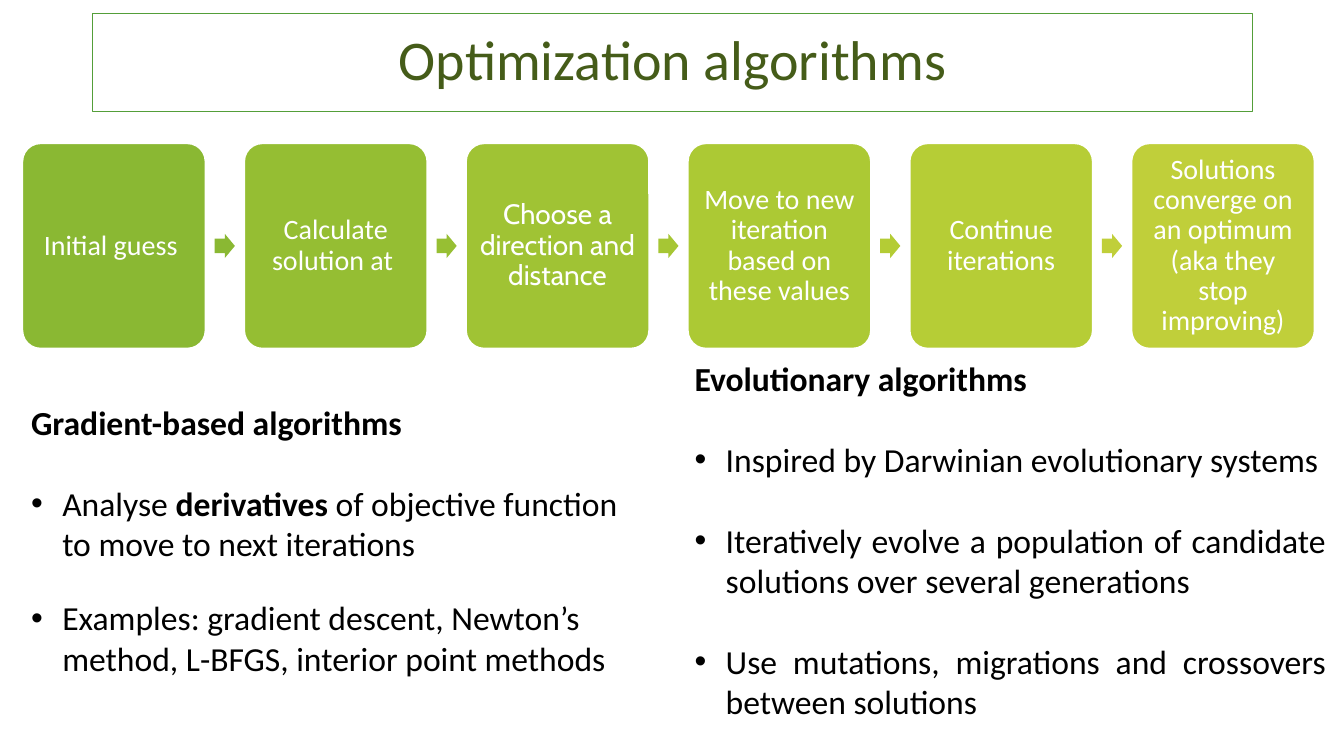
from lxml.etree import SubElement
from pptx import Presentation
from pptx.dml.color import RGBColor
from pptx.enum.shapes import MSO_SHAPE
from pptx.enum.text import MSO_ANCHOR, MSO_AUTO_SIZE, PP_ALIGN
from pptx.oxml.ns import qn
from pptx.util import Inches, Pt

COLORS = {
    "title": "455C19", "border": "549E39", "body": "000000", "white": "FFFFFF",
    "steps": ["8AB833", "95BE33", "A0C334", "ACC934", "B6CD36", "C0CF3A"],
    "arrows": ["8AB833", "97BF33", "A6C634", "B4CC35", "C0CF3A"],
}
STEPS = [
    ("Initial guess ", "Calibri"),
    ("Calculate solution at ", "Calibri"),
    ("Choose a direction and distance", "Cabin"),
    ("Move to new iteration based on these values", "Calibri"),
    ("Continue iterations", "Calibri"),
    ("Solutions converge on an optimum (aka they stop improving)", "Calibri"),
]
GRADIENT_POINTS = [
    ([("Analyse ", False), ("derivatives", True),
      (" of objective function to move to next iterations", False)], 29, PP_ALIGN.LEFT),
    ([("Examples: gradient descent, Newton’s method, L-BFGS, interior point methods", False)],
     24, PP_ALIGN.LEFT),
]
EVOLUTIONARY_POINTS = [
    ([("Inspired by Darwinian evolutionary systems", False)], 29, PP_ALIGN.LEFT),
    ([("Iteratively evolve a population of candidate solutions over several generations", False)],
     29, PP_ALIGN.JUSTIFY),
    ([("Use mutations, migrations and crossovers between solutions", False)],
     29, PP_ALIGN.JUSTIFY),
]
FLOW_LEFT, FLOW_TOP, COLUMN_WIDTH = 0.22, 1.42, 2.2
STEP_WIDTH, STEP_HEIGHT = 1.82, 2.04
ARROW_OFFSET, ARROW_WIDTH, ARROW_HEIGHT = 1.91, 0.2, 0.24


def color(value):
    """Return a colour from its hex string."""
    return RGBColor.from_string(value)


def style_font(font, size, name, value):
    """Set the size, typeface and colour of a font."""
    font.size = Pt(size)
    font.name = name
    font.color.rgb = color(value)


def add_title(slide, text):
    """Place and format the title placeholder."""
    title = slide.shapes.title
    title.left, title.top = Inches(0.92), Inches(0.13)
    title.width, title.height = Inches(11.5), Inches(0.98)
    title.line.color.rgb = color(COLORS["border"])
    title.line.width = Pt(0.75)
    frame = title.text_frame
    frame.text = text
    frame.auto_size = MSO_AUTO_SIZE.NONE
    frame.vertical_anchor = MSO_ANCHOR.MIDDLE
    paragraph = frame.paragraphs[0]
    paragraph.alignment = PP_ALIGN.CENTER
    paragraph.line_spacing = 0.9
    style_font(paragraph.font, 40, "Calibri", COLORS["title"])


def add_filled_shape(slide, kind, box, adjustments, fill):
    """Add a flat preset shape with a solid fill."""
    shape = slide.shapes.add_shape(kind, *map(Inches, box))
    shape.shadow.inherit = False
    for index, value in enumerate(adjustments):
        shape.adjustments[index] = value
    shape.fill.solid()
    shape.fill.fore_color.rgb = color(fill)
    shape.line.fill.background()
    return shape


def add_step(slide, column, text, typeface):
    """Add one rounded step of the flow in its column."""
    box = (FLOW_LEFT + column * COLUMN_WIDTH, FLOW_TOP, STEP_WIDTH, STEP_HEIGHT)
    step = add_filled_shape(slide, MSO_SHAPE.ROUNDED_RECTANGLE, box, [0.1],
                            COLORS["steps"][column])
    step.line.color.rgb = color(COLORS["white"])
    step.line.width = Pt(1.5)
    frame = step.text_frame
    frame.word_wrap = True
    frame.vertical_anchor = MSO_ANCHOR.MIDDLE
    frame.margin_left = frame.margin_right = Inches(0.08)
    frame.margin_top = frame.margin_bottom = Inches(0.08)
    frame.text = text
    paragraph = frame.paragraphs[0]
    paragraph.alignment = PP_ALIGN.CENTER
    paragraph.line_spacing = 0.9
    style_font(paragraph.font, 20, typeface, COLORS["white"])


def add_arrow(slide, column):
    """Add the block arrow that follows the step in a column."""
    left = FLOW_LEFT + column * COLUMN_WIDTH + ARROW_OFFSET
    top = FLOW_TOP + (STEP_HEIGHT - ARROW_HEIGHT) / 2
    add_filled_shape(slide, MSO_SHAPE.RIGHT_ARROW, (left, top, ARROW_WIDTH, ARROW_HEIGHT),
                     [0.6, 0.5], COLORS["arrows"][column])


def add_bullet(paragraph):
    """Give a paragraph a hanging round bullet."""
    properties = paragraph._p.get_or_add_pPr()
    properties.set("marL", str(Inches(0.31)))
    properties.set("indent", str(-Inches(0.31)))
    SubElement(properties, qn("a:buFont")).set("typeface", "Arial")
    SubElement(properties, qn("a:buChar")).set("char", "•")


def add_algorithm_list(slide, box, heading, points):
    """Add a bold heading with its bulleted points."""
    frame = slide.shapes.add_textbox(*map(Inches, box)).text_frame
    frame.word_wrap = True
    frame.auto_size = MSO_AUTO_SIZE.SHAPE_TO_FIT_TEXT
    frame.text = heading
    frame.paragraphs[0].font.bold = True
    for runs, gap, alignment in points:
        paragraph = frame.add_paragraph()
        add_bullet(paragraph)
        paragraph.space_before = Pt(gap)
        paragraph.alignment = alignment
        for text, bold in runs:
            run = paragraph.add_run()
            run.text = text
            if bold:
                run.font.bold = True
    for paragraph in frame.paragraphs:
        style_font(paragraph.font, 24, "Calibri", COLORS["body"])


def main():
    """Build the slide and save it."""
    presentation = Presentation()
    presentation.slide_width, presentation.slide_height = Inches(13.33), Inches(7.5)
    slide = presentation.slides.add_slide(presentation.slide_layouts[5])
    add_title(slide, "Optimization algorithms")
    add_algorithm_list(slide, (0.21, 3.94, 6.34, 2.86), "Gradient-based algorithms",
                       GRADIENT_POINTS)
    for column, (text, typeface) in enumerate(STEPS):
        add_step(slide, column, text, typeface)
        if column < len(STEPS) - 1:
            add_arrow(slide, column)
    add_algorithm_list(slide, (6.79, 3.5, 6.46, 3.74), "Evolutionary algorithms",
                       EVOLUTIONARY_POINTS)
    presentation.save("out.pptx")


if __name__ == "__main__":
    main()
